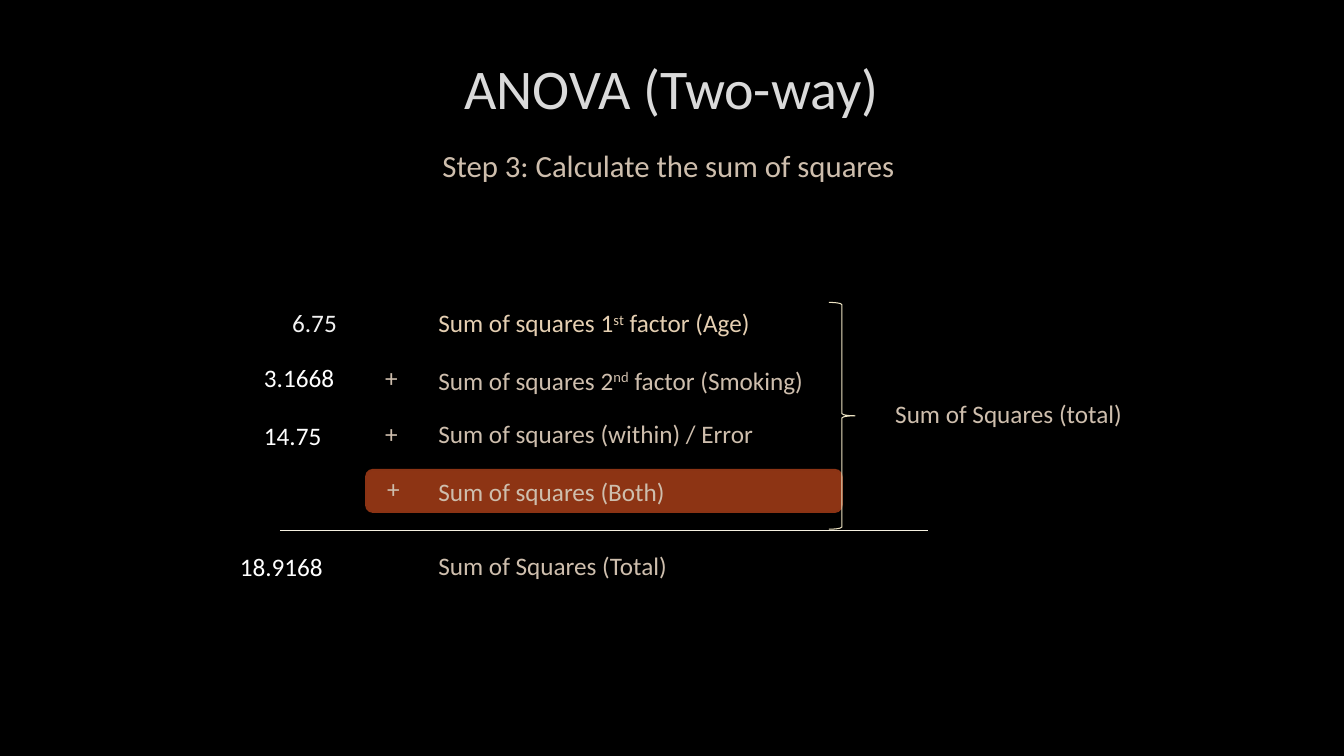
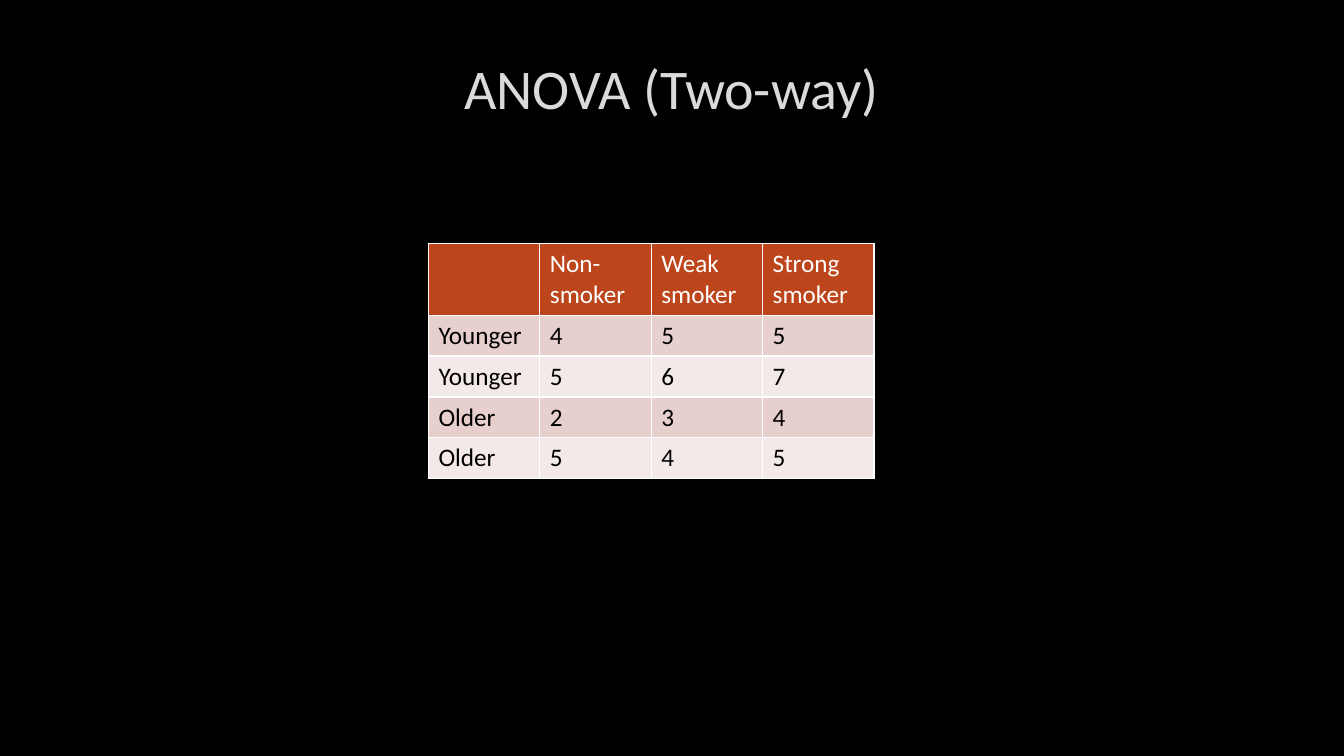
from lxml.etree import SubElement
from pptx import Presentation
from pptx.dml.color import RGBColor
from pptx.enum.shapes import MSO_CONNECTOR, MSO_SHAPE
from pptx.enum.text import MSO_ANCHOR, MSO_AUTO_SIZE, PP_ALIGN
from pptx.oxml.ns import qn
from pptx.util import Inches, Pt

WIDTH, HEIGHT = Inches(13.33), Inches(7.5)
FONT = "Calibri"
BLACK, WHITE, SILVER = "000000", "FFFFFF", "DADADA"
SAND, PALE_SAND, OFF_WHITE = "CEBEAD", "E5CFB2", "F2F2F2"
RUST, RUST_EDGE, HEADER = "8D3414", "8B3314", "BC451B"
BRACE, RULE = "EDE3C3", "F6F1E1"
BANDS = ("F3E9E8", "E7CFCD")
LABEL_LEFT, TEXT_HEIGHT = 31.88, 5.33


def across(share):
    """Turn a percentage of the slide width into a length."""
    return round(WIDTH * share / 100)


def down(share):
    """Turn a percentage of the slide height into a length."""
    return round(HEIGHT * share / 100)


def area(left, top, width, height):
    """Turn percentages of the slide into a rectangle."""
    return across(left), down(top), across(width), down(height)


def colour(hex_string):
    """Return the colour for a hex string."""
    return RGBColor.from_string(hex_string)


def write(frame, text, size=18, color=SAND, align=PP_ALIGN.LEFT):
    """Write one paragraph; text between carets is superscript."""
    para = frame.paragraphs[0]
    para.alignment = align
    para.font.size = Pt(size)
    for index, part in enumerate(text.split("^")):
        span = para.add_run()
        span.text = part
        span.font.name = FONT
        span.font.size = Pt(size)
        span.font.bold = False
        span.font.color.rgb = colour(color)
        if index % 2:
            span.font._element.set("baseline", "30000")


def add_text(page, text, left, top, width, height=TEXT_HEIGHT, wrap=False,
             anchor=MSO_ANCHOR.TOP, **text_format):
    """Add a text box placed in percentages of the slide."""
    box = page.shapes.add_textbox(*area(left, top, width, height))
    frame = box.text_frame
    frame.word_wrap = wrap
    frame.auto_size = MSO_AUTO_SIZE.NONE if wrap else MSO_AUTO_SIZE.SHAPE_TO_FIT_TEXT
    frame.vertical_anchor = anchor
    write(frame, text, **text_format)
    return box


def add_outline(page, kind, place, line, weight, fill=None):
    """Add a preset shape with a line and an optional fill."""
    shape = page.shapes.add_shape(kind, *area(*place))
    shape.shadow.inherit = False
    if fill:
        shape.fill.solid()
        shape.fill.fore_color.rgb = colour(fill)
    else:
        shape.fill.background()
    shape.line.color.rgb = colour(line)
    shape.line.width = Pt(weight)


def add_rule(page, start, end, top):
    """Add a thin horizontal line."""
    rule = page.shapes.add_connector(
        MSO_CONNECTOR.STRAIGHT, across(start), down(top), across(end), down(top))
    rule.line.color.rgb = colour(RULE)
    rule.line.width = Pt(0.75)
    SubElement(rule._element.spPr, qn("a:effectLst"))


def border_cell(cell, color=WHITE, weight=1):
    """Draw all four borders of a table cell."""
    properties = cell._tc.get_or_add_tcPr()
    for side in ("L", "R", "T", "B"):
        line = SubElement(properties, qn(f"a:ln{side}"), w=str(Pt(weight)))
        fill = SubElement(line, qn("a:solidFill"))
        SubElement(fill, qn("a:srgbClr"), val=color)


def add_data_table(page, rows, left, top, column_width, heights):
    """Add a banded table with a coloured header row."""
    place = area(left, top, column_width * len(rows[0]), sum(heights))
    table = page.shapes.add_table(len(rows), len(rows[0]), *place).table
    for column in table.columns:
        column.width = across(column_width)
    for row_index, values in enumerate(rows):
        table.rows[row_index].height = down(heights[row_index])
        for column_index, value in enumerate(values):
            cell = table.cell(row_index, column_index)
            border_cell(cell)
            cell.fill.solid()
            cell.fill.fore_color.rgb = colour(BANDS[row_index % 2] if row_index else HEADER)
            write(cell.text_frame, value, color=BLACK if row_index else WHITE)


def add_page(deck):
    """Add a black page with the shared title."""
    page = deck.slides.add_slide(deck.slide_layouts[6])
    page.background.fill.solid()
    page.background.fill.fore_color.rgb = colour(BLACK)
    add_text(page, "ANOVA (Two-way)", 7.5, 4.4, 84.92, 14.13, wrap=True,
             anchor=MSO_ANCHOR.MIDDLE, size=40, color=SILVER, align=PP_ALIGN.CENTER)
    return page


def add_sums_page(deck):
    """Add the page that adds up the sums of squares."""
    page = add_page(deck)
    add_outline(page, MSO_SHAPE.ROUNDED_RECTANGLE, (27.23, 62.13, 35.41, 5.6),
                RUST_EDGE, 1.25, fill=RUST)
    add_text(page, "Step 3: Calculate the sum of squares", 32.18, 18.8, 60, 29.73,
             wrap=True, size=22)
    labels = (
        ("Sum of squares 1^st^ factor (Age)", 40, 26.78, PALE_SAND),
        ("Sum of squares 2^nd^ factor (Smoking)", 47.6, 31.21, SAND),
        ("Sum of squares (within) / Error", 54.67, 28.73, SAND),
        ("Sum of squares (Both)", 62.4, 27.31, SAND),
        ("Sum of Squares (Total)", 72.13, 27.31, SAND),
    )
    for text, top, width, color in labels:
        add_text(page, text, LABEL_LEFT, top, width, color=color)
    for step, left in enumerate((27.91, 27.91, 28.06)):
        add_text(page, "+", left, 47.33 + 7.33 * step, 2.78)
    add_outline(page, MSO_SHAPE.RIGHT_BRACE, (61.67, 40, 1.95, 30), BRACE, 0.75)
    add_text(page, "Sum of Squares (total)", 65.87, 52, 19.58)
    values = (
        ("6.75", 21, 40, 4.95, OFF_WHITE),
        ("3.1668", 18.9, 47.33, 6.83, WHITE),
        ("14.75", 18.9, 54.93, 5.85, WHITE),
        ("18.9168", 17.1, 72.27, 7.8, WHITE),
    )
    for text, left, top, width, color in values:
        add_text(page, text, left, top, width, color=color)
    add_rule(page, 20.86, 69.02, 70.13)


def add_data_page(deck):
    """Add the page with the table of observations."""
    rows = (
        ("", "Non-smoker", "Weak smoker", "Strong smoker"),
        ("Younger", "4", "5", "5"),
        ("Younger", "5", "6", "7"),
        ("Older", "2", "3", "4"),
        ("Older", "5", "4", "5"),
    )
    add_data_table(add_page(deck), rows, LABEL_LEFT, 32.2, 8.29, [9.5] + [5.4] * 4)


def main():
    """Build and save the deck."""
    deck = Presentation()
    deck.slide_width, deck.slide_height = WIDTH, HEIGHT
    add_sums_page(deck)
    add_data_page(deck)
    deck.save("out.pptx")


if __name__ == "__main__":
    main()
